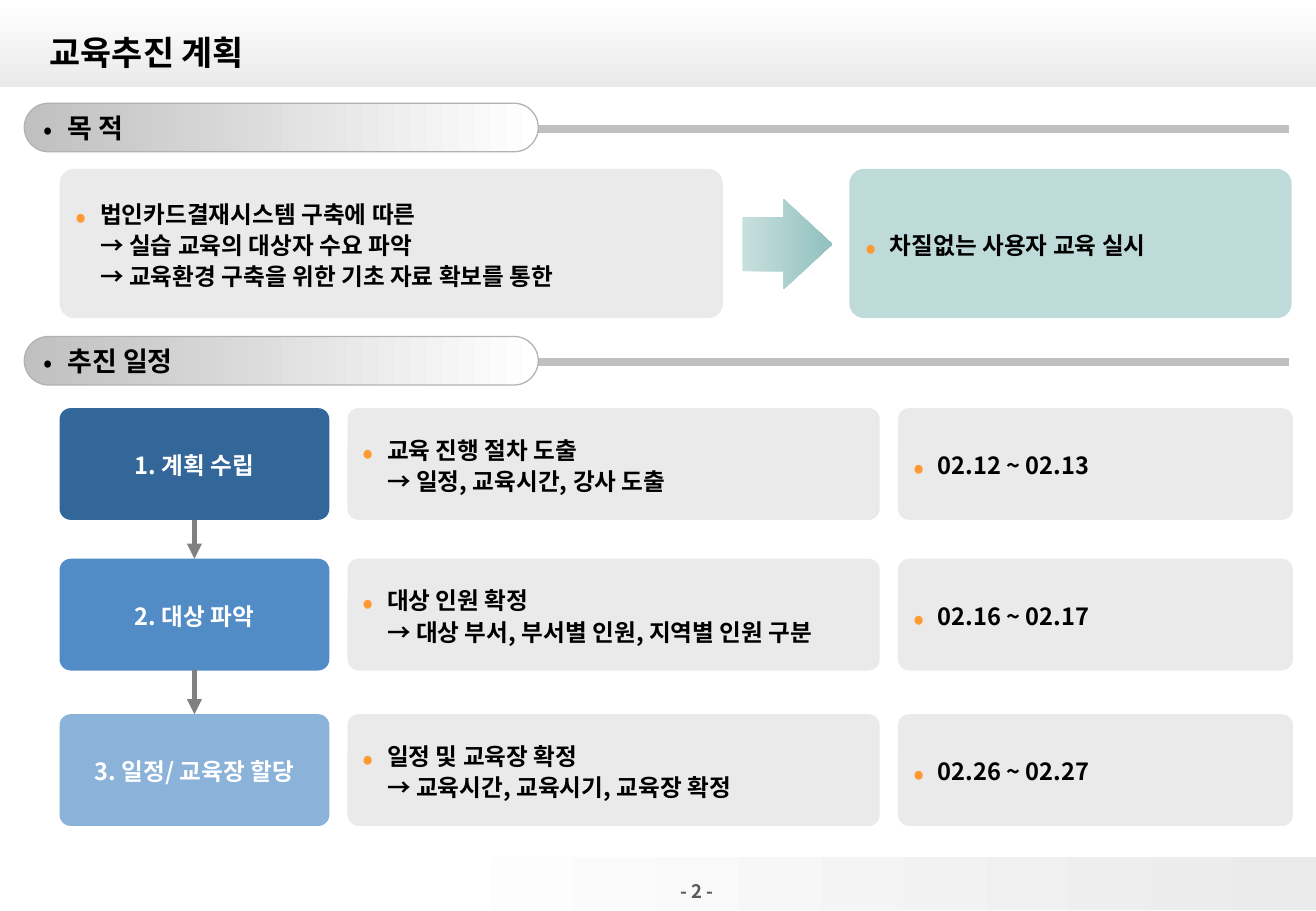
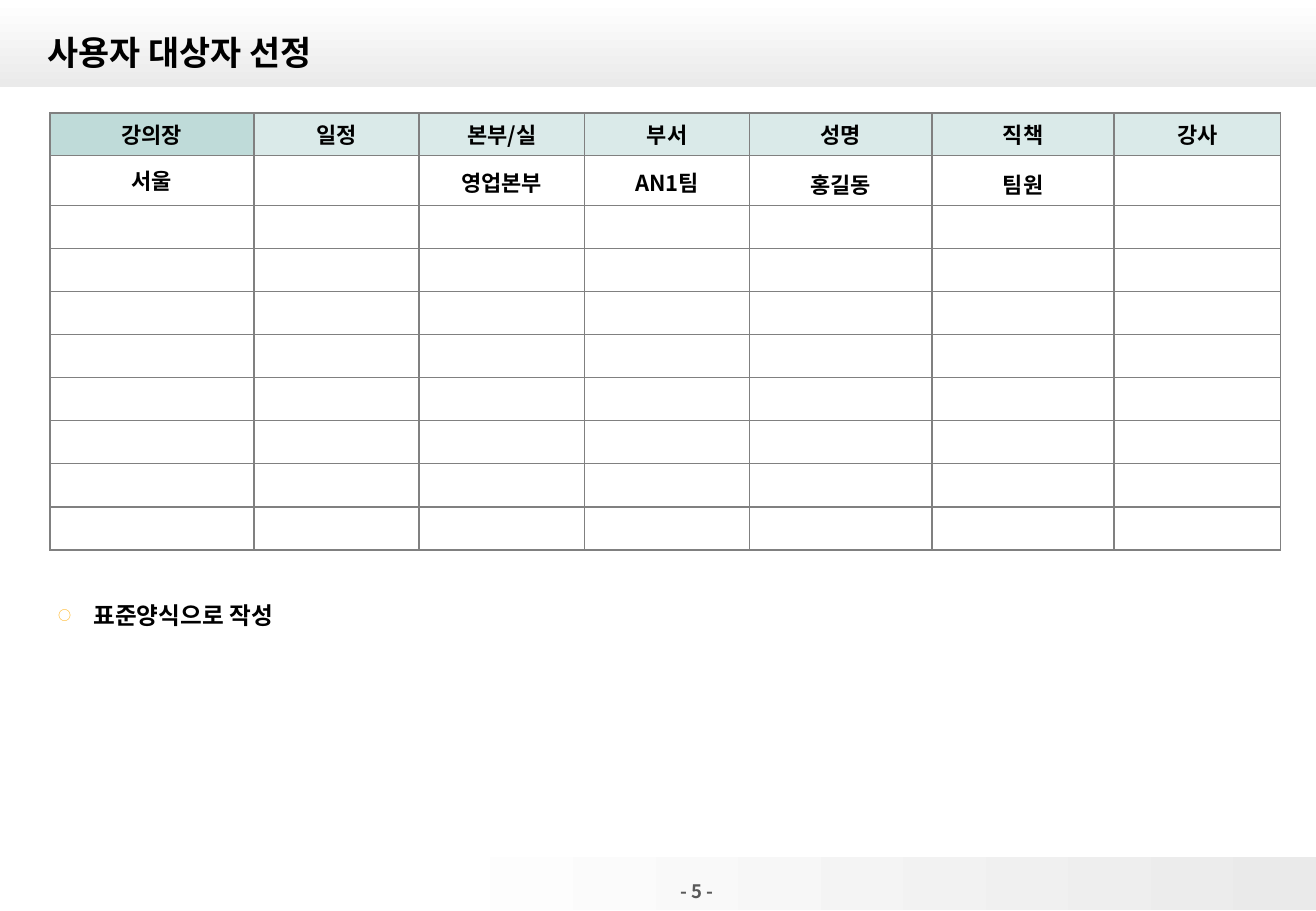
from lxml import etree
from pptx import Presentation
from pptx import util as u
from pptx.dml.color import RGBColor
from pptx.enum import shapes, text
from pptx.oxml import ns

FONT = "Noto Sans CJK KR"
WIDTH, HEIGHT = 10.83, 7.5
BLACK, WHITE = "000000", "FFFFFF"
PALE, SILVER, GREY, TEAL, PALE_TEAL = "EAEAEA", "C0C0C0", "808080", "BFDBD9", "DAEAE9"
ORANGE, AMBER = "FF9933", "FFAC05"


def rgb(value):
    return RGBColor.from_string(value)


def inches(*lengths):
    return [u.Inches(length) for length in lengths]


def sub(parent, tag, **attributes):
    return etree.SubElement(parent, ns.qn(tag), attributes)


def set_values(target, values):
    for name, value in values.items():
        setattr(target, name, value)


def write(paragraph, content, size, color=BLACK, align=text.PP_ALIGN.LEFT, spacing=1.0):
    """Fill a paragraph with bold text; line feeds become line breaks."""
    set_values(paragraph, {"text": content, "alignment": align, "line_spacing": spacing})
    for run in paragraph.runs:
        set_values(run.font, {"name": FONT, "size": u.Pt(size), "bold": True})
        run.font.color.rgb = rgb(color)
        sub(run.font._element, "a:ea", typeface=FONT)


def add_bullet(paragraph, character="•", color=None, percent=100, indent=0.2):
    properties = paragraph._p.get_or_add_pPr()
    properties.set("marL", str(u.Inches(indent)))
    properties.set("indent", str(-u.Inches(indent)))
    if color:
        sub(sub(properties, "a:buClr"), "a:srgbClr", val=color)
    sub(properties, "a:buSzPct", val=str(percent * 1000))
    sub(properties, "a:buFont", typeface=FONT)
    sub(properties, "a:buChar", char=character)


def add_shape(slide, kind, box, fill, line=None, adjust=()):
    """Add a preset shape; fill is a colour, or (angle, stops) for a gradient."""
    shape = slide.shapes.add_shape(kind, *inches(*box))
    shape.shadow.inherit = False
    for index, value in enumerate(adjust):
        shape.adjustments[index] = value
    if isinstance(fill, str):
        shape.fill.solid()
        shape.fill.fore_color.rgb = rgb(fill)
    else:
        angle, stops = fill
        shape.fill.gradient()
        shape.fill.gradient_angle = angle
        for stop, (position, color) in zip(shape.fill.gradient_stops, stops):
            stop.position = position
            stop.color.rgb = rgb(color)
    if line:
        shape.line.color.rgb = rgb(line)
        shape.line.width = u.Pt(0.75)
    else:
        shape.line.fill.background()
    shape.text_frame.vertical_anchor = text.MSO_ANCHOR.MIDDLE
    return shape


def add_line(slide, start, end, color, width, arrow=False):
    line = slide.shapes.add_connector(shapes.MSO_CONNECTOR.STRAIGHT, *inches(*start, *end))
    line.line.color.rgb = rgb(color)
    line.line.width = u.Pt(width)
    if arrow:
        sub(line.line._get_or_add_ln(), "a:tailEnd", type="triangle")
    sub(line._element.spPr, "a:effectLst")


def add_text(slide, box, content, size, anchor=text.MSO_ANCHOR.MIDDLE, **style):
    frame = slide.shapes.add_textbox(*inches(*box)).text_frame
    set_values(frame, {"word_wrap": True, "vertical_anchor": anchor})
    write(frame.paragraphs[0], content, size, **style)
    return frame.paragraphs[0]


def add_card(slide, box, content, fill=PALE, color=BLACK, bullet=True):
    card = add_shape(slide, shapes.MSO_SHAPE.ROUNDED_RECTANGLE, box, fill, adjust=[0.1])
    paragraph = card.text_frame.paragraphs[0]
    align = text.PP_ALIGN.LEFT if bullet else text.PP_ALIGN.CENTER
    write(paragraph, content, 14, color, align, 1.1)
    if bullet:
        add_bullet(paragraph, color=ORANGE, percent=140)


def add_section(slide, top, content):
    """Section heading: a pill with a rule running to the right."""
    add_line(slide, (0.2, top + 0.21), (10.61, top + 0.21), SILVER, 4.5)
    pill = add_shape(slide, shapes.MSO_SHAPE.ROUNDED_RECTANGLE, (0.2, top, 4.23, 0.4),
                     (0, [(0, SILVER), (1, WHITE)]), "B2B2B2", [0.5])
    paragraph = pill.text_frame.paragraphs[0]
    write(paragraph, content, 16)
    add_bullet(paragraph)


def add_bands(slide, layout):
    """Draw the header and footer bands, then hand them to the layout."""
    bands = [((0, 0, WIDTH, 0.72), 270, 0), ((0, 7.06, WIDTH, 0.43), 0, 0.31)]
    for box, angle, start in bands:
        band = add_shape(slide, shapes.MSO_SHAPE.RECTANGLE, box,
                         (angle, [(start, WHITE), (1, PALE)]))
        layout.shapes._spTree.insert(2, band._element)


def add_slide(presentation, layout, title, number, left=0.31):
    slide = presentation.slides.add_slide(layout)
    placeholder = slide.shapes.title
    names = ("left", "top", "width", "height")
    set_values(placeholder, dict(zip(names, inches(left, 0.15, 10.47, 0.55))))
    set_values(placeholder.text_frame, {"vertical_anchor": text.MSO_ANCHOR.MIDDLE,
                                        "auto_size": text.MSO_AUTO_SIZE.NONE})
    write(placeholder.text_frame.paragraphs[0], title, 20)
    add_text(slide, (5.08, 7.17, 0.89, 0.33), f"- {number} -", 11,
             color="595959", align=text.PP_ALIGN.RIGHT)
    return slide


def format_cell(cell, content="", fill=None, spacing=1.0):
    margin = u.Inches(0.045)
    set_values(cell, {"margin_top": margin, "margin_bottom": margin,
                      "vertical_anchor": text.MSO_ANCHOR.MIDDLE})
    paragraph = cell.text_frame.paragraphs[0]
    if content:
        write(paragraph, content, 13, align=text.PP_ALIGN.CENTER, spacing=spacing)
    else:
        paragraph._p.get_or_add_endParaRPr().set("sz", "1000")
    properties = cell._tc.get_or_add_tcPr()
    for side in ("a:lnL", "a:lnR", "a:lnT", "a:lnB"):
        border = sub(properties, side, w=str(u.Pt(1)))
        sub(sub(border, "a:solidFill"), "a:srgbClr", val=GREY)
    if fill:
        cell.fill.solid()
        cell.fill.fore_color.rgb = rgb(fill)
    else:
        cell.fill.background()


def add_roster(slide):
    widths = [1.68, 1.36, 1.36, 1.36, 1.5, 1.5, 1.37]
    heights = [0.35, 0.41] + [0.355] * 8
    header = ["강의장", "일정", "본부/실", "부서", "성명", "직책", "강사"]
    person = ["서울", "", "영업본부", "AN1팀", "홍길동", "팀원", ""]
    spacings = [1.0, 1.0, 1.1, 1.1, 1.2, 1.2, 1.0]
    box = (0.41, 0.93, sum(widths), sum(heights))
    table = slide.shapes.add_table(len(heights), len(widths), *inches(*box)).table
    set_values(table, {"first_row": False, "horz_banding": False})
    for row, height in zip(table.rows, heights):
        row.height = u.Inches(height)
    for index, width in enumerate(widths):
        table.columns[index].width = u.Inches(width)
        format_cell(table.cell(0, index), header[index], PALE_TEAL if index else TEAL)
        format_cell(table.cell(1, index), person[index], spacing=spacings[index])
        for row in range(2, len(heights)):
            format_cell(table.cell(row, index))


def fill_plan(slide):
    add_section(slide, 0.85, "목 적")
    add_card(slide, (0.49, 1.39, 5.46, 1.23),
             "법인카드결재시스템 구축에 따른\n→ 실습 교육의 대상자 수요 파악\n"
             "→ 교육환경 구축을 위한 기초 자료 확보를 통한")
    add_shape(slide, shapes.MSO_SHAPE.RIGHT_ARROW, (6.11, 1.64, 0.74, 0.74),
              (0, [(0, "C7DFDE"), (1, "91C1BF")]), adjust=[0.6, 0.54])
    add_card(slide, (6.99, 1.39, 3.64, 1.23), "차질없는 사용자 교육 실시", TEAL)

    add_section(slide, 2.77, "추진 일정")
    height = 0.92
    steps = [
        (3.36, "336699", "1. 계획 수립",
         "교육 진행 절차 도출\n→ 일정, 교육시간, 강사 도출", "02.12 ~ 02.13"),
        (4.6, "528CC6", "2. 대상 파악",
         "대상 인원 확정\n→ 대상 부서, 부서별 인원, 지역별 인원 구분", "02.16 ~ 02.17"),
        (5.88, "8BB2D9", "3. 일정/ 교육장 할당",
         "일정 및 교육장 확정\n→ 교육시간, 교육시기, 교육장 확정", "02.26 ~ 02.27"),
    ]
    for top, fill, name, detail, dates in steps:
        add_card(slide, (0.49, top, 2.22, height), name, fill, WHITE, bullet=False)
        add_card(slide, (2.86, top, 4.38, height), detail)
        add_card(slide, (7.39, top, 3.25, height), dates)
    for step, following in zip(steps, steps[1:]):
        add_line(slide, (1.6, step[0] + height), (1.6, following[0]), GREY, 3, arrow=True)


def main():
    presentation = Presentation()
    set_values(presentation, {"slide_width": u.Inches(WIDTH), "slide_height": u.Inches(HEIGHT)})
    layout = presentation.slide_layouts.get_by_name("Title Only")

    plan = add_slide(presentation, layout, "교육추진 계획", 2)
    add_bands(plan, layout)
    fill_plan(plan)

    selection = add_slide(presentation, layout, "사용자 대상자 선정", 5, left=0.29)
    add_roster(selection)
    note = add_text(selection, (0.38, 4.85, 10.14, 0.35), "표준양식으로 작성", 14,
                    anchor=text.MSO_ANCHOR.TOP, spacing=1.2)
    add_bullet(note, "○", AMBER, percent=55, indent=0.29)

    presentation.save("out.pptx")


if __name__ == "__main__":
    main()
